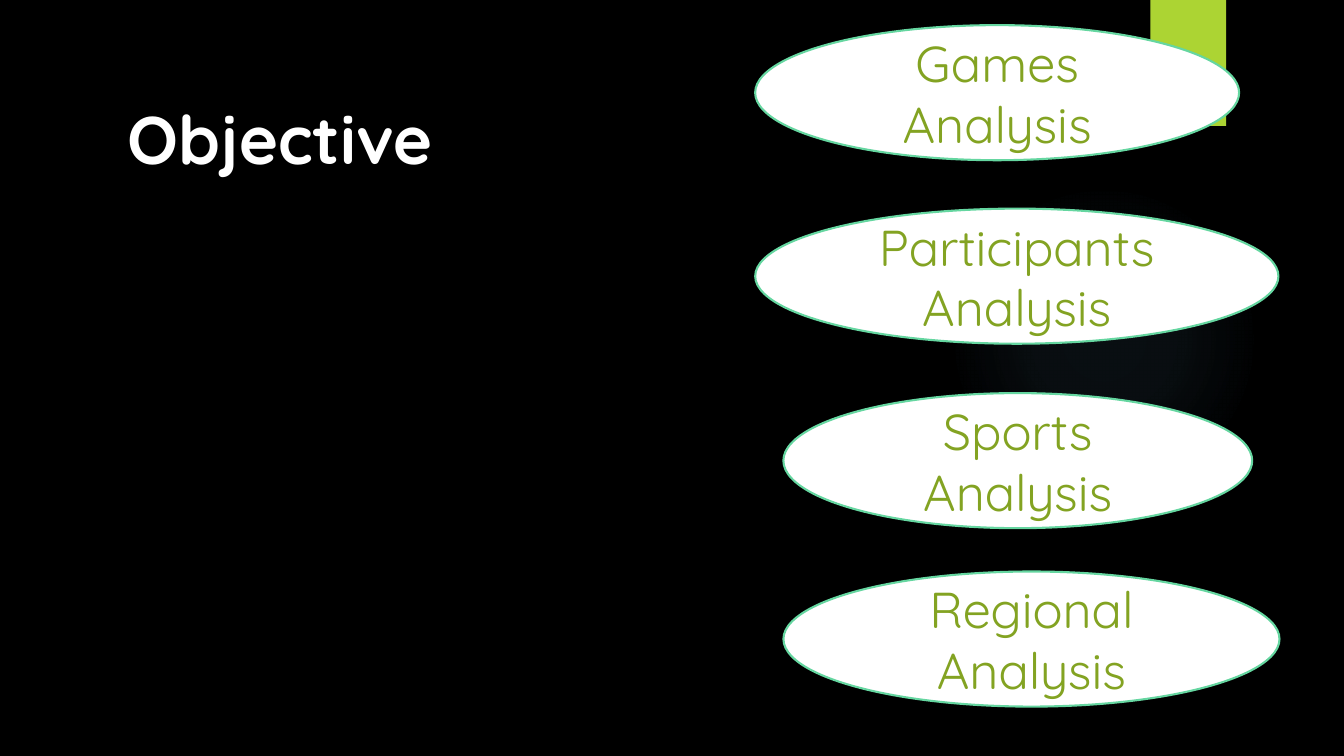
from dataclasses import dataclass

from pptx import Presentation
from pptx.dml.color import RGBColor
from pptx.enum.shapes import MSO_SHAPE
from pptx.enum.text import MSO_ANCHOR, PP_ALIGN
from pptx.oxml import parse_xml
from pptx.oxml.ns import nsdecls, qn
from pptx.util import Inches, Pt


@dataclass(frozen=True)
class Theme:
    """Colours, font and type sizes."""
    backdrop: str = "000000"
    glow: str = "7AC4F0"
    accent: str = "ACD433"
    paper: str = "FFFFFF"
    outline: str = "65D6A0"
    label: str = "83A322"
    font: str = "Quicksand"
    title_size: int = 48
    label_size: int = 36
    outline_width: float = 1.5


class ObjectiveSlide:
    """Draws on one slide, with places given in percent of its size."""

    def __init__(self, deck, theme):
        self.deck = deck
        self.theme = theme
        self.slide = deck.slides.add_slide(deck.slide_layouts[6])
        backdrop = self.slide.background.fill
        backdrop.solid()
        backdrop.fore_color.rgb = RGBColor.from_string(theme.backdrop)

    def place(self, left, top, width, height):
        """Turn percentages into slide lengths."""
        across, down = self.deck.slide_width / 100, self.deck.slide_height / 100
        return [int(left * across), int(top * down), int(width * across), int(height * down)]

    def shape(self, preset, area, fill):
        """Add a flat filled shape without an outline."""
        figure = self.slide.shapes.add_shape(preset, *self.place(*area))
        figure.shadow.inherit = False
        figure.fill.solid()
        figure.fill.fore_color.rgb = RGBColor.from_string(fill)
        figure.line.fill.background()
        return figure

    def glow(self, area, stops):
        """Add a disc that fades out from its centre."""
        disc = self.shape(MSO_SHAPE.OVAL, area, self.theme.glow)
        shades = "".join(
            f'<a:gs pos="{position * 1000}"><a:srgbClr val="{self.theme.glow}">'
            f'<a:alpha val="{opacity * 1000}"/></a:srgbClr></a:gs>'
            for position, opacity in stops)
        fade = parse_xml(
            f'<a:gradFill {nsdecls("a")} rotWithShape="1"><a:gsLst>{shades}</a:gsLst>'
            '<a:path path="circle"><a:fillToRect l="50000" t="50000" r="50000" b="50000"/>'
            '</a:path></a:gradFill>')
        properties = disc.element.spPr
        properties.replace(properties.find(qn("a:solidFill")), fade)

    def add_text(self, frame, wording, align, color, **font_format):
        """Put one styled paragraph into a text frame."""
        frame.word_wrap = True
        paragraph = frame.paragraphs[0]
        paragraph.alignment = align
        run = paragraph.add_run()
        run.text = wording
        for name, value in {"name": self.theme.font, **font_format}.items():
            setattr(run.font, name, value)
        run.font.color.rgb = RGBColor.from_string(color)

    def title(self, wording, area):
        """Add the slide heading."""
        heading = self.slide.shapes.add_textbox(*self.place(*area))
        self.add_text(heading.text_frame, wording, PP_ALIGN.LEFT, self.theme.paper,
                      size=Pt(self.theme.title_size), bold=True)

    def bubble(self, wording, area):
        """Add an outlined ellipse with a centred label."""
        ellipse = self.shape(MSO_SHAPE.OVAL, area, self.theme.paper)
        ellipse.line.color.rgb = RGBColor.from_string(self.theme.outline)
        ellipse.line.width = Pt(self.theme.outline_width)
        ellipse.text_frame.vertical_anchor = MSO_ANCHOR.MIDDLE
        self.add_text(ellipse.text_frame, wording, PP_ALIGN.CENTER, self.theme.label,
                      size=Pt(self.theme.label_size))


def main():
    """Build and save the objective slide."""
    deck = Presentation()
    deck.slide_width, deck.slide_height = Inches(13.33), Inches(7.5)
    theme = Theme()
    objective = ObjectiveSlide(deck, theme)
    objective.glow((70.59, 24.4, 23.11, 41.07), [(0, 7), (36, 6), (69, 0), (100, 0)])
    objective.shape(MSO_SHAPE.RECTANGLE, (85.6, 0, 5.63, 16.67), theme.accent)
    objective.title("Objective", (8.78, 12.27, 27.68, 12.13))

    outer, inner, bubble_height = 56.19, 58.29, 17.87
    topics = [
        ("Games", outer, 3.33, 36.01),
        ("Participants", outer, 27.6, 38.93),
        ("Sports", inner, 52, 34.88),
        ("Regional", inner, 75.6, 36.91),
    ]
    for topic, left, top, width in topics:
        objective.bubble(f"{topic} Analysis", (left, top, width, bubble_height))
    deck.save("out.pptx")


if __name__ == "__main__":
    main()
